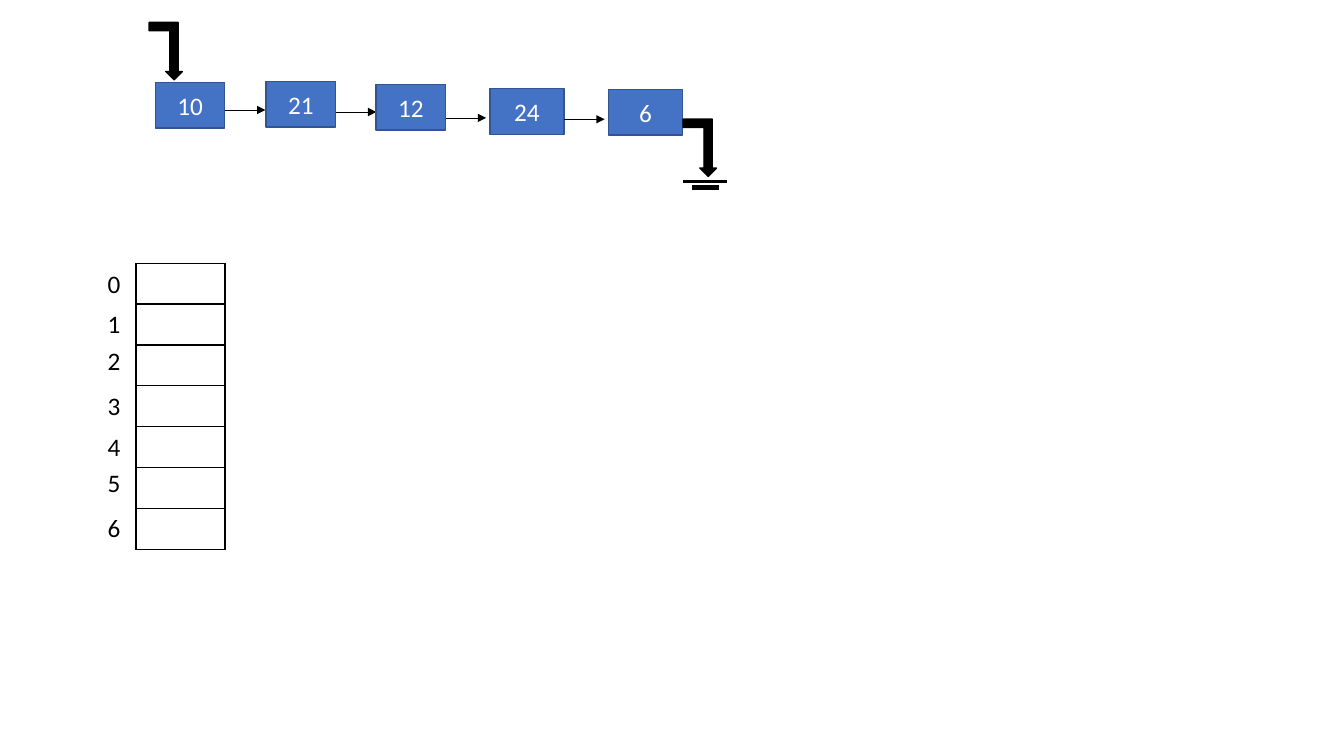
import pptx
import pptx.util
import pptx.dml.color
import pptx.enum.shapes
import pptx.enum.text
import pptx.oxml
import pptx.oxml.ns

Pt = pptx.util.Pt
RGB = pptx.dml.color.RGBColor
SHAPE = pptx.enum.shapes.MSO_SHAPE
BLACK = RGB(0, 0, 0)
WHITE = RGB(255, 255, 255)
BLUE = RGB(0x44, 0x72, 0xC4)
NAVY = RGB(0x32, 0x54, 0x91)
FONT = "Calibri"


def put_xml(parent, text):
    """Append an element, given as DrawingML text, to parent."""
    head, rest = text.split(" ", 1)
    parent.append(pptx.oxml.parse_xml(f"{head} {pptx.oxml.ns.nsdecls('a')} {rest}"))


def write(para, text, color):
    """Add one 18 point run to a paragraph."""
    run = para.add_run()
    run.text = text
    run.font.size = Pt(18)
    run.font.name = FONT
    run.font.color.rgb = color


def add_line(slide, start, end, width, arrow=False):
    """Draw a black straight line, with an arrowhead at its end if asked."""
    kind = pptx.enum.shapes.MSO_CONNECTOR.STRAIGHT
    line = slide.shapes.add_connector(kind, *map(Pt, start + end))
    line.line.color.rgb = BLACK
    line.line.width = Pt(width)
    if arrow:
        put_xml(line.line._get_or_add_ln(), '<a:tailEnd type="triangle"/>')
    put_xml(line._element.spPr, "<a:effectLst />")


def add_solid(slide, kind, box, fill, edge):
    """Draw a filled preset shape with a thin edge."""
    shape = slide.shapes.add_shape(kind, *map(Pt, box))
    shape.shadow.inherit = False
    shape.fill.solid()
    shape.fill.fore_color.rgb = fill
    shape.line.color.rgb = edge
    shape.line.width = Pt(1)
    return shape


def add_node(slide, box, text):
    """Draw one list node with its value."""
    node = add_solid(slide, SHAPE.RECTANGLE, box, BLUE, NAVY)
    frame = node.text_frame
    frame.vertical_anchor = pptx.enum.text.MSO_ANCHOR.MIDDLE
    para = frame.paragraphs[0]
    para.alignment = pptx.enum.text.PP_ALIGN.CENTER
    write(para, text, WHITE)


def add_bend(slide, left, top):
    """Draw a thick arrow that runs right and then down."""
    bend = add_solid(slide, SHAPE.BENT_UP_ARROW, (left, top, 23.8, 41), BLACK, BLACK)
    bend.rotation = 180
    bend._element.spPr.xfrm.set("flipH", "1")


def add_chain(slide, left, top):
    """Draw the linked list from its head arrow to its ground sign."""
    # value, left, top, width, height, height of the outgoing link
    nodes = [
        ("10", 4.9, 43, 49.7, 32.4, 62.6),
        ("21", 84.1, 42.3, 49.7, 32.4, 64),
        ("12", 162.6, 44.4, 49.7, 32.4, 68.2),
        ("24", 244, 47.2, 52.9, 33.1, 69.2),
        ("6", 328.9, 48.1, 52.6, 32.4, None),
    ]
    add_bend(slide, left + 0.5, top)
    for text, x, y, width, height, link in nodes:
        add_node(slide, (left + x, top + y, width, height), text)
        if link is not None:
            start = left + x + width
            add_line(slide, (start, top + link), (start + 29, top + link), 0.5, True)
    add_bend(slide, left + 382, top + 69)
    for x, y, length, weight in ((382, 113.6, 31, 2.25), (388, 118, 19.4, 3)):
        add_line(slide, (left + x, top + y), (left + x + length, top + y), weight)


def frame_cell(cell):
    """Clear a cell's fill and give it black borders."""
    props = cell._tc.get_or_add_tcPr()
    for side in "LRTB":
        put_xml(props, f'<a:ln{side} w="12700"><a:solidFill><a:srgbClr val="{BLACK}"/>'
                       f"</a:solidFill></a:ln{side}>")
    cell.fill.background()
    cell.text_frame.paragraphs[0].font.size = Pt(18)


def add_slots(slide, left, top):
    """Draw the empty table with its index labels."""
    tops = (0, 28.8, 55.4, 87.1, 116.6, 142.6, 174.2)
    count, height = len(tops), 29.2
    table = slide.shapes.add_table(
        count, 1, Pt(left + 27.4), Pt(top), Pt(63.6), Pt(count * height)).table
    table.first_row = table.horz_banding = False
    for index, drop in enumerate(tops):
        table.rows[index].height = Pt(height)
        frame_cell(table.cell(index, 0))
        label = slide.shapes.add_textbox(Pt(left), Pt(top + drop), Pt(21.6), Pt(28.8))
        label.text_frame.word_wrap = False
        label.text_frame.auto_size = pptx.enum.text.MSO_AUTO_SIZE.SHAPE_TO_FIT_TEXT
        write(label.text_frame.paragraphs[0], str(index), BLACK)


def main():
    """Build the slide and save it."""
    deck = pptx.Presentation()
    deck.slide_width, deck.slide_height = Pt(960), Pt(540)
    slide = deck.slides.add_slide(deck.slide_layouts[6])
    add_slots(slide, 69.8, 188)
    add_chain(slide, 106, 16)
    deck.save("out.pptx")


main()
